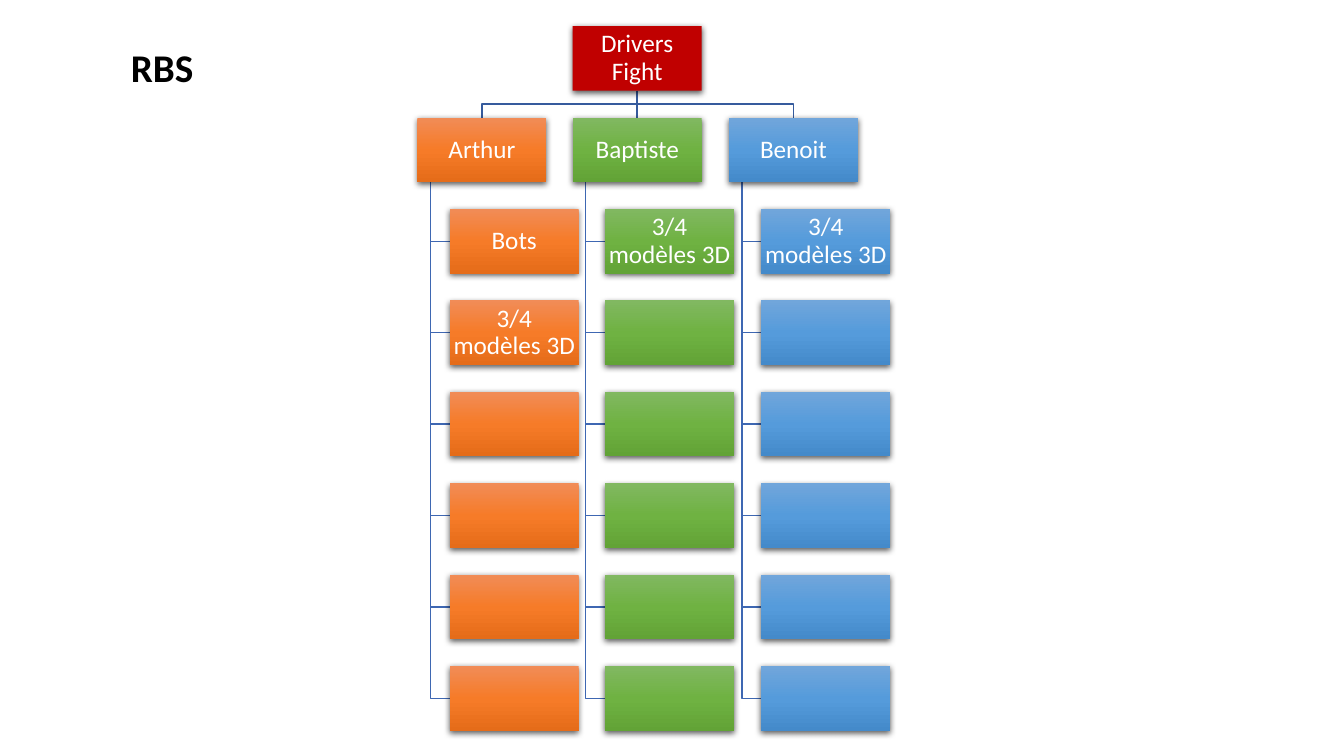
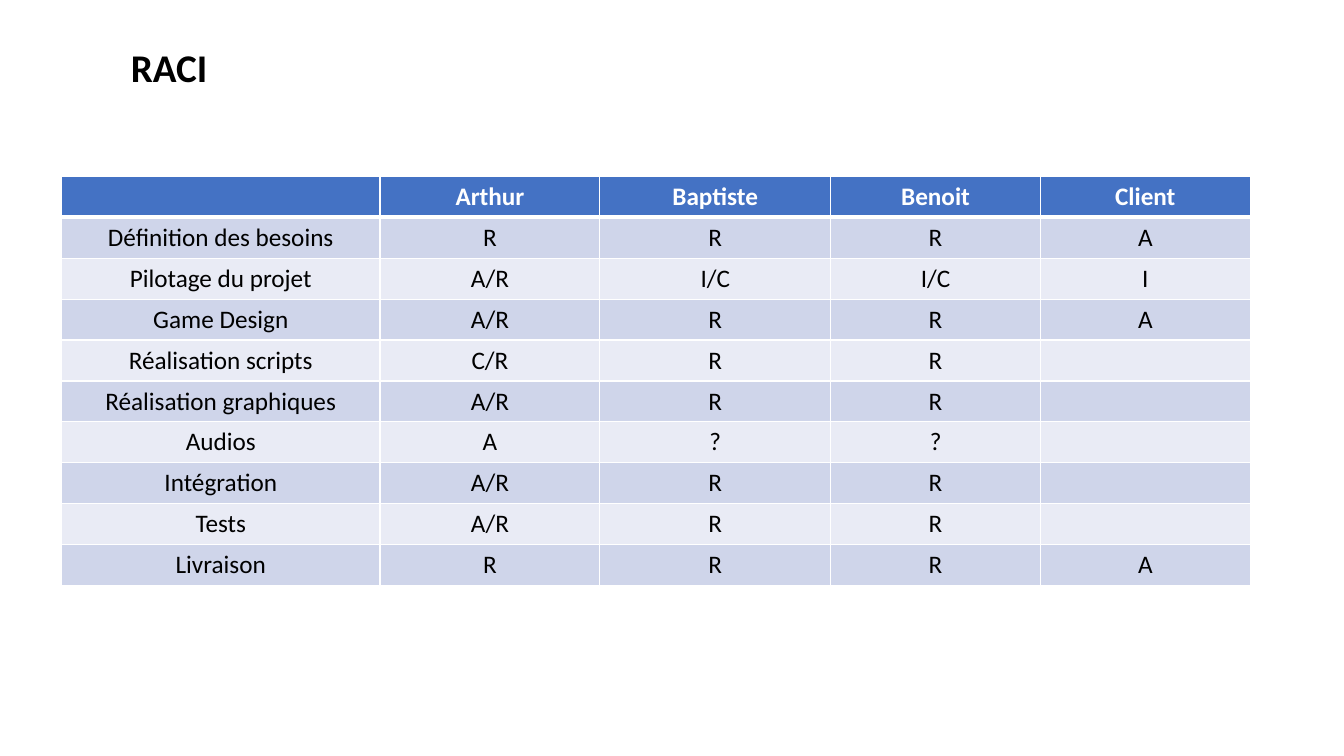
import copy

import lxml.etree
import pptx
import pptx.dml.color
import pptx.enum.shapes
import pptx.enum.text
import pptx.oxml
import pptx.oxml.ns
import pptx.util

Inches = pptx.util.Inches
Pt = pptx.util.Pt
RGBColor = pptx.dml.color.RGBColor
qn = pptx.oxml.ns.qn

WHITE = RGBColor(0xFF, 0xFF, 0xFF)
BLACK = RGBColor(0x00, 0x00, 0x00)
RED = RGBColor(0xC0, 0x00, 0x00)
ORANGES = (RGBColor(0xF1, 0x8C, 0x57), RGBColor(0xF6, 0x7B, 0x28), RGBColor(0xE5, 0x6C, 0x19))
GREENS = (RGBColor(0x81, 0xB8, 0x61), RGBColor(0x6F, 0xB2, 0x42), RGBColor(0x62, 0xA3, 0x36))
BLUES = (RGBColor(0x71, 0xA6, 0xDB), RGBColor(0x55, 0x9B, 0xDB), RGBColor(0x44, 0x8A, 0xCA))
TOP_LINE = RGBColor(0x36, 0x5B, 0x9D)
BRANCH_LINE = RGBColor(0x3E, 0x67, 0xB2)
HEADER_FILL = RGBColor(0x44, 0x72, 0xC4)
BAND_FILLS = (RGBColor(0xE9, 0xEB, 0xF5), RGBColor(0xCF, 0xD5, 0xEA))

TITLE_FONT = {"size": Pt(28), "bold": True, "color": BLACK}
BOX_FONT = {"size": Pt(18), "bold": False, "color": WHITE}
HEADER_FONT = {"size": Pt(18), "bold": True, "color": WHITE}
BODY_FONT = {"size": Pt(18), "bold": False, "color": BLACK}
CENTER = {"alignment": pptx.enum.text.PP_ALIGN.CENTER}
BOX_PARAGRAPH = {**CENTER, "line_spacing": 0.9}
BOX_FRAME = {
    "word_wrap": True,
    "vertical_anchor": pptx.enum.text.MSO_ANCHOR.MIDDLE,
    **{f"margin_{side}": Inches(0.01) for side in ("left", "right", "top", "bottom")},
}
DRAWING_NS = 'xmlns:a="http://schemas.openxmlformats.org/drawingml/2006/main"'
SHADOW = (
    f'<a:outerShdw {DRAWING_NS} blurRad="{Pt(4.5)}" dist="{Pt(1.5)}" dir="5400000" '
    'algn="ctr" rotWithShape="0"><a:srgbClr val="000000"><a:alpha val="63000"/>'
    "</a:srgbClr></a:outerShdw>"
)


def write(frame, text, font, paragraph_format):
    """Put one formatted paragraph of text in a text frame."""
    paragraph = frame.paragraphs[0]
    for name, value in paragraph_format.items():
        setattr(paragraph, name, value)
    run = paragraph.add_run()
    run.text = text
    run.font.name = "Calibri"
    run.font.color.rgb = font["color"]
    for name in ("size", "bold"):
        setattr(run.font, name, font[name])


def add_box(slide, left, top, text, colors):
    """Add a shadowed box with a plain fill or a three-colour gradient."""
    box = slide.shapes.add_shape(
        pptx.enum.shapes.MSO_SHAPE.RECTANGLE,
        Inches(left), Inches(top), Inches(BOX_WIDTH), Inches(BOX_HEIGHT))
    if len(colors) == 1:
        box.fill.solid()
        box.fill.fore_color.rgb = colors[0]
    else:
        box.fill.gradient()
        box.fill.gradient_angle = 270
        stop_list = box._element.spPr.find(".//" + qn("a:gsLst"))
        stop_list.append(copy.deepcopy(stop_list[0]))
        for stop, position, color in zip(box.fill.gradient_stops, (0, 0.5, 1), colors):
            stop.position = position
            stop.color.rgb = color
    box.line.fill.background()
    box.shadow.inherit = False
    box._element.spPr.find(qn("a:effectLst")).append(pptx.oxml.parse_xml(SHADOW))
    if text:
        for name, value in BOX_FRAME.items():
            setattr(box.text_frame, name, value)
        write(box.text_frame, text, BOX_FONT, BOX_PARAGRAPH)


presentation = pptx.Presentation()
presentation.slide_width = Inches(13.33)
presentation.slide_height = Inches(7.5)

slides = []
for title in ("RBS", "RACI"):
    slide = presentation.slides.add_slide(presentation.slide_layouts[6])
    title_box = slide.shapes.add_textbox(Inches(1.2), Inches(0.38), Inches(1.87), Inches(0.57))
    title_box.text_frame.word_wrap = True
    write(title_box.text_frame, title, TITLE_FONT, {})
    slides.append(slide)
chart_slide, table_slide = slides

# Resource breakdown: one root, three people, six tasks each
BOX_WIDTH, BOX_HEIGHT = 1.28, 0.64
ROOT_LEFT, ROOT_TOP = 5.68, 0.26
TASK_INDENT, TRUNK_INDENT = 0.32, 0.13
TASK_COUNT = 6
ROW_PITCH = (6.61 - ROOT_TOP) / (TASK_COUNT + 1)
PERSON_TOP = ROOT_TOP + ROW_PITCH
people = [
    ("Arthur", 4.14, ORANGES, ["Bots", "3/4 modèles 3D"]),
    ("Baptiste", ROOT_LEFT, GREENS, ["3/4 modèles 3D"]),
    ("Benoit", 7.23, BLUES, ["3/4 modèles 3D"]),
]
task_tops = [PERSON_TOP + ROW_PITCH * (index + 1) for index in range(TASK_COUNT)]

root_center = ROOT_LEFT + BOX_WIDTH / 2
root_bottom = ROOT_TOP + BOX_HEIGHT
middle = (root_bottom + PERSON_TOP) / 2
routes = []
for name, left, colors, tasks in people:
    center = left + BOX_WIDTH / 2
    if left != ROOT_LEFT:
        routes.append((TOP_LINE, [(root_center, root_bottom), (root_center, middle),
                                  (center, middle), (center, PERSON_TOP)]))
    trunk = left + TRUNK_INDENT
    for top in task_tops:
        task_middle = top + BOX_HEIGHT / 2
        routes.append((BRANCH_LINE, [(trunk, PERSON_TOP + BOX_HEIGHT), (trunk, task_middle),
                                     (left + TASK_INDENT, task_middle)]))

for color, points in routes:
    corners = [(Inches(x), Inches(y)) for x, y in points]
    builder = chart_slide.shapes.build_freeform(*corners[0])
    builder.add_line_segments(corners[1:], close=False)
    branch = builder.convert_to_shape()
    branch.shadow.inherit = False
    branch.fill.background()
    branch.line.color.rgb = color
    branch.line.width = Pt(1)

stem = chart_slide.shapes.add_connector(
    pptx.enum.shapes.MSO_CONNECTOR.STRAIGHT,
    Inches(root_center), Inches(root_bottom), Inches(root_center), Inches(PERSON_TOP))
stem.line.color.rgb = TOP_LINE
stem.line.width = Pt(1)
lxml.etree.SubElement(stem._element.spPr, qn("a:effectLst"))

add_box(chart_slide, ROOT_LEFT, ROOT_TOP, "Drivers Fight", [RED])
for name, left, colors, tasks in people:
    add_box(chart_slide, left, PERSON_TOP, name, colors)
    labels = tasks + [""] * (TASK_COUNT - len(tasks))
    for top, label in zip(task_tops, labels):
        add_box(chart_slide, left + TASK_INDENT, top, label, colors)

# Responsibility table
rows = [
    ("", "Arthur", "Baptiste", "Benoit", "Client"),
    ("Définition des besoins", "R", "R", "R", "A"),
    ("Pilotage du projet", "A/R", "I/C", "I/C", "I"),
    ("Game Design", "A/R", "R", "R", "A"),
    ("Réalisation scripts", "C/R", "R", "R", ""),
    ("Réalisation graphiques", "A/R", "R", "R", ""),
    ("Audios", "A", "?", "?", ""),
    ("Intégration", "A/R", "R", "R", ""),
    ("Tests", "A/R", "R", "R", ""),
    ("Livraison", "R", "R", "R", "A"),
]
column_widths = (3.16, 2.18, 2.29, 2.08, 2.08)
table = table_slide.shapes.add_table(
    len(rows), len(column_widths),
    Inches(0.61), Inches(1.75), Inches(sum(column_widths)), Inches(4.06)).table
table.first_row = False
table.horz_banding = False
for column, width in zip(table.columns, column_widths):
    column.width = Inches(width)

for row_index, row in enumerate(rows):
    is_header = row_index == 0
    border_widths = {"L": 1, "R": 1, "T": 3 if row_index == 1 else 1, "B": 3 if is_header else 1}
    for column_index, text in enumerate(row):
        cell = table.cell(row_index, column_index)
        properties = cell._tc.get_or_add_tcPr()
        for side, width in border_widths.items():
            properties.append(pptx.oxml.parse_xml(
                f'<a:ln{side} {DRAWING_NS} w="{Pt(width)}"><a:solidFill>'
                f'<a:srgbClr val="{WHITE}"/></a:solidFill></a:ln{side}>'))
        cell.fill.solid()
        cell.fill.fore_color.rgb = HEADER_FILL if is_header else BAND_FILLS[row_index % 2]
        if text:
            write(cell.text_frame, text, HEADER_FONT if is_header else BODY_FONT, CENTER)

presentation.save("out.pptx")
